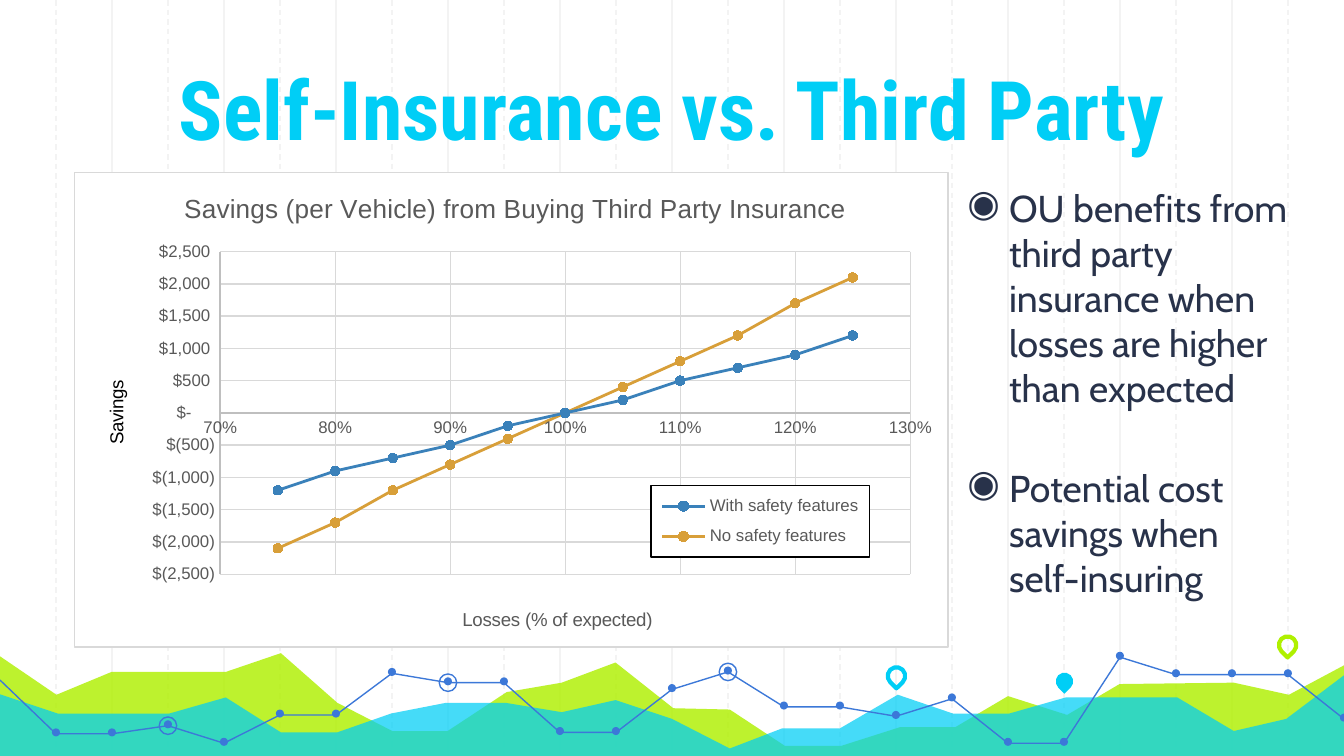
import pptx
import pptx.util
import pptx.chart.data
import pptx.dml.color
import pptx.enum.chart
import pptx.enum.dml
import pptx.enum.shapes
import pptx.enum.text
import pptx.oxml
import pptx.oxml.ns

Inches, Pt = pptx.util.Inches, pptx.util.Pt
SHAPE = pptx.enum.shapes.MSO_SHAPE
NS = ' '.join(pptx.oxml.ns.nsdecls(n) for n in ('a', 'c'))
rgb = pptx.dml.color.RGBColor.from_string


def put_text(p, text, size, color, font='Arial', bold=False):
    r = p.add_run()
    r.text = text
    r.font.size, r.font.name, r.font.bold = Pt(size), font, bold
    r.font.color.rgb = rgb(color)


def style(sp, fill=None, line=None, width=0.75, alpha=None):
    sp.shadow.inherit = False
    if fill:
        sp.fill.solid()
        sp.fill.fore_color.rgb = rgb(fill)
        if alpha:
            clr = sp.element.spPr.find('.//' + pptx.oxml.ns.qn('a:srgbClr'))
            clr.append(pptx.oxml.parse_xml(f'<a:alpha {NS} val="{alpha * 1000}"/>'))
    else:
        sp.fill.background()
    if line:
        sp.line.color.rgb = rgb(line)
        sp.line.width = Pt(width)
    else:
        sp.line.fill.background()


prs = pptx.Presentation()
prs.slide_width = Inches(10)
prs.slide_height = prs.slide_width * 9 // 16
s = prs.slides.add_slide(prs.slide_layouts[5])

STEP = 10 / 24
for k in [*range(2, 24, 2), *range(1, 24, 2)]:
    x = Inches(k * STEP)
    ln = s.shapes.add_connector(pptx.enum.shapes.MSO_CONNECTOR.STRAIGHT, x, 0, x, Inches(5.65))
    ln.line.color.rgb = rgb('F3F3F3')
    ln.line.width = Pt(0.75)
    if k % 2:
        ln.line.dash_style = pptx.enum.dml.MSO_LINE.DASH
    ln.element.spPr.append(pptx.oxml.parse_xml(f'<a:effectLst {NS}/>'))

green_hills = [(-0.02, 4.87), (0.42, 5.17), (0.83, 5), (1.68, 5), (2.09, 4.86), (2.51, 5.23),
               (2.92, 5.44), (3.33, 5.44), (3.77, 5.15), (4.18, 5.08), (4.58, 4.93), (5.01, 5.27),
               (5.43, 5.28), (5.84, 5.55), (6.26, 5.55), (6.7, 5.41), (7.11, 5.41), (7.5, 5.18),
               (7.94, 5.32), (8.33, 5.09), (9.18, 5.08), (9.59, 5.17), (10.02, 4.94)]
blue_hills = [(-0.02, 5.16), (0.43, 5.31), (1.26, 5.31), (1.68, 5.19), (2.09, 5.45), (2.51, 5.45),
              (2.91, 5.31), (3.32, 5.23), (3.76, 5.23), (4.18, 5.3), (4.58, 5.21), (5, 5.35),
              (5.43, 5.57), (5.82, 5.42), (6.25, 5.42), (6.68, 5.17), (7.09, 5.31), (7.51, 5.31),
              (7.93, 5.19), (8.76, 5.19), (9.18, 5.44), (9.57, 5.35), (10.02, 5.01)]
trail_heights = [5.06, 5.46, 5.46, 5.4, 5.53, 5.32, 5.32, 5.01, 5.08, 5.08, 5.45, 5.45, 5.13,
                 5, 5.26, 5.26, 5.33, 5.2, 5.53, 5.53, 4.89, 5.02, 5.02, 5.02, 5.35]
trail = [(k * STEP, y) for k, y in enumerate(trail_heights)]
base = [(10.02, 5.64), (-0.03, 5.64)]

outlines = [(green_hills + base, True, dict(fill='AFF000', alpha=82)),
            (blue_hills + base, True, dict(fill='00CEF6', alpha=73))]
outlines += [(trail[a:b], False, dict(line='3C78D8')) for a, b in ((0, 12), (11, 21), (20, 25))]
for points, closed, look in outlines:
    points = [(Inches(x), Inches(y)) for x, y in points]
    fb = s.shapes.build_freeform(*points[0])
    fb.add_line_segments(points[1:], close=closed)
    style(fb.convert_to_shape(), **look)

marks = [(SHAPE.OVAL, x, y - 0.01, 0.06, dict(fill='3C78D8')) for x, y in trail[1:]]
marks += [(SHAPE.OVAL, *trail[k], 0.13, dict(line='3C78D8')) for k in (8, 3, 13)]
marks += [(SHAPE.TEAR, 6.67, 5.03, 0.13, dict(line='00CEF6', width=2.25)),
          (SHAPE.TEAR, 7.92, 5.07, 0.13, dict(fill='00CEF6')),
          (SHAPE.TEAR, 9.58, 4.8, 0.13, dict(line='AFF000', width=2.25))]
for kind, x, y, size, look in marks:
    sp = s.shapes.add_shape(kind, Inches(x - size / 2), Inches(y - size / 2), Inches(size), Inches(size))
    sp.rotation = 135 if kind == SHAPE.TEAR else 0
    style(sp, **look)

title = s.shapes.title
title.element.getparent().append(title.element)
title.left, title.top, title.width, title.height = 0, Inches(0.01), Inches(10), Inches(1.26)

losses = [pct / 100 for pct in range(75, 130, 5)]
savings = [('With safety features', '3A81BA', [-1200, -900, -700, -500, -200, 0, 200, 500, 700, 900, 1200]),
           ('No safety features', 'D89F39', [-2100, -1700, -1200, -800, -400, 0, 400, 800, 1200, 1700, 2100])]
cd = pptx.chart.data.XyChartData()
for name, color, values in savings:
    ser = cd.add_series(name)
    for x, y in zip(losses, values):
        ser.add_data_point(x, y)
chart = s.shapes.add_chart(pptx.enum.chart.XL_CHART_TYPE.XY_SCATTER_SMOOTH, Inches(0.55), Inches(1.28),
                           Inches(6.51), Inches(3.54), cd).chart
chart.font.size, chart.font.name = Pt(10), 'Arial'
chart.font.color.rgb = rgb('000000')
chart.plots[0].vary_by_categories = False
for ser, (name, color, values) in zip(chart.plots[0].series, savings):
    ser.format.line.color.rgb = rgb(color)
    ser.format.line.width = Pt(1.5)
    ser.marker.style = pptx.enum.chart.XL_MARKER_STYLE.CIRCLE
    ser.marker.size = 5
    ser.marker.format.fill.solid()
    ser.marker.format.fill.fore_color.rgb = rgb(color)
    ser.marker.format.line.color.rgb = rgb(color)

chart.has_title = True
put_text(chart.chart_title.text_frame.paragraphs[0],
         'Savings (per Vehicle) from Buying Third Party Insurance', 14, '595959')
axes = [(chart.category_axis, 'Losses (% of expected)', '595959', 0.7, 1.3, 0.1, '0%'),
        (chart.value_axis, 'Savings', '000000', -2500, 2500, 500, '"$"#,##0_);"$"(#,##0);"$"-??_)')]
for ax, name, color, low, high, unit, fmt in axes:
    ax.minimum_scale, ax.maximum_scale, ax.major_unit = low, high, unit
    ax.major_tick_mark = ax.minor_tick_mark = pptx.enum.chart.XL_TICK_MARK.NONE
    ax.has_major_gridlines = True
    for line, shade in ((ax.format.line, 'BFBFBF'), (ax.major_gridlines.format.line, 'D9D9D9')):
        line.color.rgb = rgb(shade)
        line.width = Pt(0.75)
    ax.tick_labels.number_format = fmt
    ax.tick_labels.number_format_is_linked = False
    ax.has_title = True
    put_text(ax.axis_title.text_frame.paragraphs[0], name, 10, color)
chart.has_legend = True
chart.legend.position = pptx.enum.chart.XL_LEGEND_POSITION.RIGHT
chart.legend.include_in_layout = True
for font in (chart.category_axis.tick_labels.font, chart.value_axis.tick_labels.font, chart.legend.font):
    font.size, font.name = Pt(9), 'Arial'
    font.color.rgb = rgb('595959')

layouts = [('c:chart/c:title', 1, dict(x=0.12, y=0.03)),
           ('c:chart/c:plotArea', 0, dict(x=1 / 6, y=1 / 6, w=0.79, h=0.68)),
           ('c:chart/c:plotArea/c:valAx[1]/c:title', 1, dict(x=0.44, y=0.91)),
           ('c:chart/c:plotArea/c:valAx[2]/c:title', 1, dict(x=0.03, y=0.43)),
           ('c:chart/c:legend', 1, dict(x=0.66, y=0.66, w=0.25, h=0.15))]
for where, index, box in layouts:
    el = chart.element.xpath(where)[0]
    for old in el.xpath('c:layout'):
        el.remove(old)
    target = '<c:layoutTarget val="inner"/>' if index == 0 else ''
    modes = '<c:xMode val="edge"/><c:yMode val="edge"/>'
    sizes = ''.join(f'<c:{key} val="{val}"/>' for key, val in box.items())
    el.insert(index, pptx.oxml.parse_xml(
        f'<c:layout {NS}><c:manualLayout>{target}{modes}{sizes}</c:manualLayout></c:layout>'))
for where, border in (('c:chart', 'D9D9D9'), ('c:chart/c:legend/c:overlay', '000000')):
    chart.element.xpath(where)[0].addnext(pptx.oxml.parse_xml(
        f'<c:spPr {NS}><a:solidFill><a:srgbClr val="FFFFFF"/></a:solidFill><a:ln w="9525">'
        f'<a:solidFill><a:srgbClr val="{border}"/></a:solidFill></a:ln></c:spPr>'))

body = s.shapes.add_textbox(Inches(7.1), Inches(1.28), Inches(2.9), Inches(3.4))
for sp in (title, body):
    tf = sp.text_frame
    tf.word_wrap = True
    tf.auto_size = pptx.enum.text.MSO_AUTO_SIZE.NONE
    tf.margin_left = tf.margin_right = tf.margin_top = tf.margin_bottom = Inches(0.1)
title.text_frame.vertical_anchor = pptx.enum.text.MSO_ANCHOR.BOTTOM
p = title.text_frame.paragraphs[0]
p.alignment = pptx.enum.text.PP_ALIGN.CENTER
put_text(p, 'Self-Insurance vs. Third Party', 44, '00CEF6', 'Roboto Condensed', True)

bullets = [(['OU benefits from third party insurance when losses are higher than expected'], 6),
           (['Potential cost savings when ', 'self-insuring'], 30)]
for i, (lines, gap) in enumerate(bullets):
    p = tf.add_paragraph() if i else tf.paragraphs[0]
    p.space_before = Pt(gap)
    for j, text in enumerate(lines):
        if j:
            p.add_line_break()
        put_text(p, text, 20, '28324A', 'Cabin')
    pPr = p._p.get_or_add_pPr()
    pPr.set('marL', str(Inches(0.31)))
    pPr.set('indent', str(Inches(-0.31)))
    pPr.append(pptx.oxml.parse_xml(f'<a:buClr {NS}><a:srgbClr val="28324A"/></a:buClr>'))
    pPr.append(pptx.oxml.parse_xml(f'<a:buChar {NS} char="◉"/>'))

prs.save("out.pptx")
